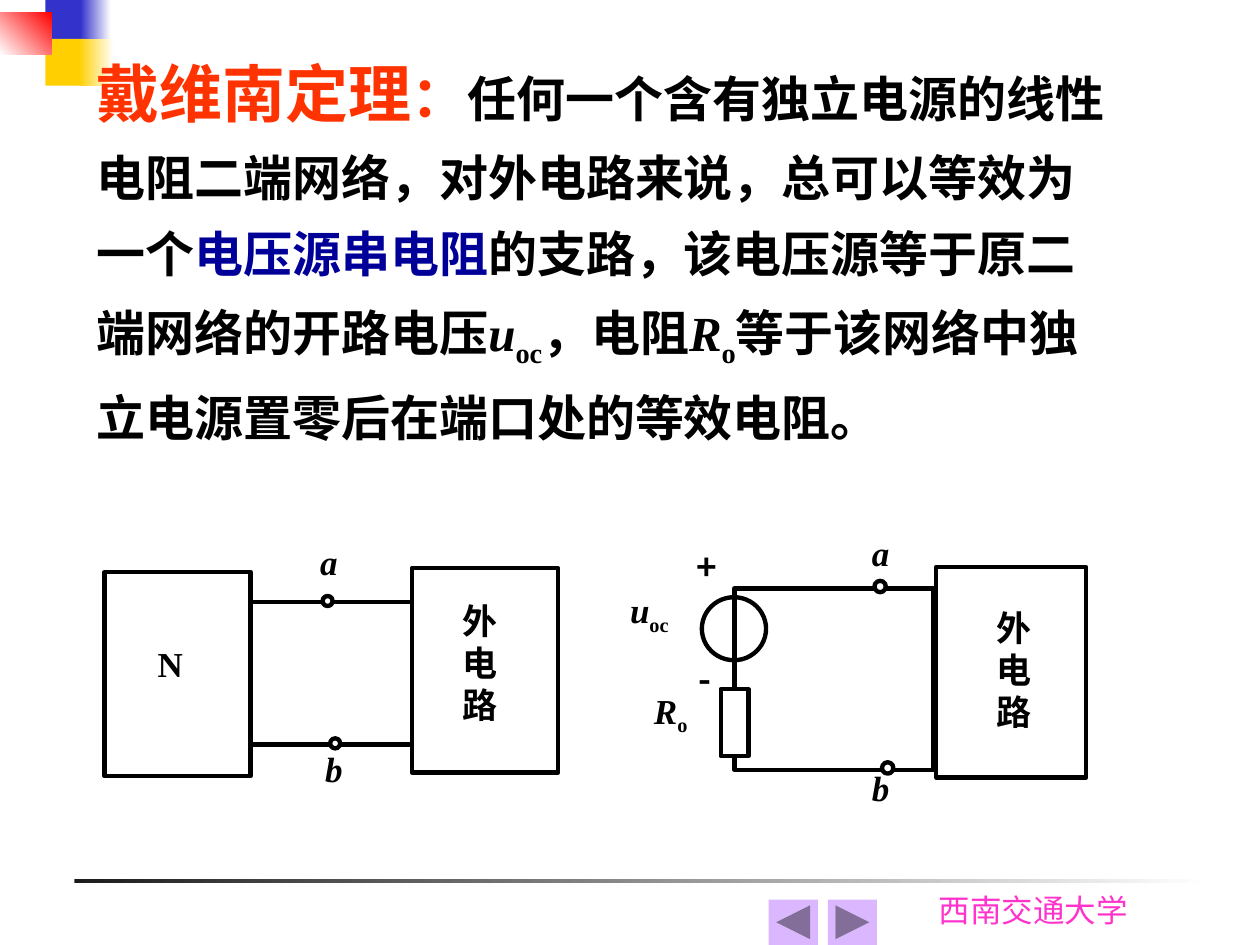
from lxml.etree import SubElement
from pptx import Presentation
from pptx.dml.color import RGBColor
from pptx.enum.shapes import MSO_CONNECTOR, MSO_SHAPE
from pptx.enum.text import MSO_ANCHOR, PP_ALIGN
from pptx.oxml.ns import qn
from pptx.util import Inches, Pt

COLORS = {
    "black": "000000", "white": "FFFFFF", "rule": "1C1C1C", "blue": "3333CC",
    "yellow": "FFCF01", "red": "FF0000", "heading": "FF3300",
    "key": "000099", "school": "FF33CC", "button": "DBB7FF",
}
SERIF, SANS = "Times New Roman", "Noto Sans CJK SC"
LABEL = {"size": Pt(20), "bold": True, "name": SERIF}
SYMBOL = {**LABEL, "italic": True}
SUB = {**LABEL, "sub": True}
SIGN = {**LABEL, "name": SANS}
BODY = {**LABEL, "size": Pt(28)}


class Deck:
    """Holds the drawing style and the slide being built."""

    def __init__(self, slide, line_width=2.5):
        self.s = slide
        self.line_width = Pt(line_width)

    def color(self, name):
        return RGBColor.from_string(COLORS[name])

    def shape(self, kind, box, fill=None, outline=True):
        sp = self.s.shapes.add_shape(kind, *map(Inches, box))
        sp.shadow.inherit = False
        if fill:
            sp.fill.solid()
            sp.fill.fore_color.rgb = self.color(fill)
        else:
            sp.fill.background()
        if outline:
            sp.line.color.rgb = self.color("black")
            sp.line.width = self.line_width
        else:
            sp.line.fill.background()
        return sp

    def block(self, box, fill=None):
        return self.shape(MSO_SHAPE.RECTANGLE, box, fill)

    def patch(self, box, start, end=None, angle=0):
        sp = self.shape(MSO_SHAPE.RECTANGLE, box, start, outline=False)
        if end:
            sp.fill.gradient()
            sp.fill.gradient_angle = angle
            for stop, name in zip(sp.fill.gradient_stops, (start, end)):
                stop.color.rgb = self.color(name)

    def terminal(self, x, y, d):
        self.shape(MSO_SHAPE.OVAL, (x, y, d, d), "white")

    def wire(self, x1, y1, x2, y2):
        cx = self.s.shapes.add_connector(
            MSO_CONNECTOR.STRAIGHT, *map(Inches, (x1, y1, x2, y2)))
        cx.line.color.rgb = self.color("black")
        cx.line.width = self.line_width
        SubElement(cx._element.spPr, qn("a:effectLst"))

    def text(self, box, paragraphs, align=PP_ALIGN.JUSTIFY, margins=(0, 0),
             anchor=MSO_ANCHOR.TOP, spacing=None):
        tf = self.s.shapes.add_textbox(*map(Inches, box)).text_frame
        mx, my = map(Inches, margins)
        frame = {"word_wrap": True, "vertical_anchor": anchor,
                 "margin_left": mx, "margin_right": mx,
                 "margin_top": my, "margin_bottom": my}
        for key, value in frame.items():
            setattr(tf, key, value)
        for i, runs in enumerate(paragraphs):
            p = tf.add_paragraph() if i else tf.paragraphs[0]
            p.alignment = align
            p.line_spacing = spacing
            for content, style, *color in runs:
                self.run(p, content, style, *color)

    def run(self, p, content, style, color="black"):
        r = p.add_run()
        r.text = content
        for key, value in style.items():
            if key != "sub":
                setattr(r.font, key, value)
        r.font.color.rgb = self.color(color)
        rpr = r._r.get_or_add_rPr()
        if style.get("sub"):
            rpr.set("baseline", "-25000")
        SubElement(rpr, qn("a:ea")).set("typeface", SANS)

    def label(self, box, *runs):
        self.text(box, [runs])

    def external_circuit(self, box, text_box):
        self.block(box)
        self.text(text_box, [[(c, LABEL)] for c in "外电路"])


def draw_frame(deck):
    deck.patch((0.59, 6.98, 9, 0.03), "rule", "white")
    deck.text((7.35, 7.02, 1.81, 0.4),
              [[("西南交通大学", {"size": Pt(18), "name": "Karla"}, "school")]],
              align=PP_ALIGN.LEFT, margins=(0.1, 0.05))
    deck.patch((0.36, 0, 0.32, 0.37), "blue")
    deck.patch((0.64, 0, 0.24, 0.37), "blue", "white")
    deck.patch((0.36, 0.31, 0.31, 0.37), "yellow")
    deck.patch((0.63, 0.31, 0.27, 0.37), "yellow", "white")
    deck.patch((0, 0.1, 0.41, 0.33), "white", "red", angle=45)


def draw_theorem(deck):
    italic, sub = {**BODY, "italic": True}, {**BODY, "sub": True}
    runs = [
        ("戴维南定理", {**BODY, "size": Pt(36)}, "heading"),
        ("：", {**BODY, "size": Pt(32)}, "heading"),
        ("任何一个含有独立电源的线性电阻二端网络，对外电路来说，总可以等效为一个", BODY),
        ("电压源串电阻", BODY, "key"),
        ("的支路，该电压源等于原二端网络的开路电压", BODY),
        ("u", italic), ("oc", sub), ("，电阻", BODY),
        ("R", italic), ("o", sub),
        ("等于该网络中独立电源置零后在端口处的等效电阻。", BODY),
    ]
    deck.text((0.67, 0.2, 8.35, 3.39), [runs], align=PP_ALIGN.LEFT,
              margins=(0.1, 0.05), anchor=MSO_ANCHOR.MIDDLE, spacing=1.3)


def draw_network(deck):
    deck.block((0.83, 4.54, 1.16, 1.62))
    deck.label((1.25, 5.1, 0.49, 0.54), ("N", LABEL))
    deck.external_circuit((3.27, 4.51, 1.16, 1.62), (3.67, 4.76, 0.49, 1.24))
    for y, x in ((4.78, 2.56), (5.91, 2.62)):
        deck.wire(2, y, 3.27, y)
        deck.terminal(x, y - 0.05, 0.08)
    deck.label((2.54, 4.29, 0.8, 0.58), ("a", SYMBOL))
    deck.label((2.58, 5.93, 0.41, 0.48), ("b", SYMBOL))


def draw_equivalent(deck):
    deck.block((5.83, 4.67, 1.58, 1.44))
    deck.external_circuit((7.43, 4.5, 1.19, 1.67), (7.91, 4.81, 0.5, 0.94))
    deck.terminal(6.94, 4.61, 0.09)
    deck.terminal(7, 6.05, 0.09)
    deck.block((5.72, 5.47, 0.22, 0.53), "white")
    deck.shape(MSO_SHAPE.OVAL, (5.57, 4.74, 0.51, 0.5))
    deck.label((6.92, 4.22, 0.82, 0.6), ("a", SYMBOL))
    deck.label((6.92, 6.08, 0.82, 0.6), ("b", SYMBOL))
    deck.label((5.53, 4.33, 0.36, 0.5), ("+", SIGN))
    deck.label((5.54, 5.22, 0.36, 0.5), ("-", SIGN))
    deck.label((5, 4.67, 0.72, 0.81), ("u", SYMBOL), ("oc", SUB))
    deck.label((5.19, 5.47, 0.82, 0.6), ("R", SYMBOL), ("o", SUB))


def draw_buttons(deck):
    kinds = (MSO_SHAPE.ACTION_BUTTON_BACK_OR_PREVIOUS,
             MSO_SHAPE.ACTION_BUTTON_FORWARD_OR_NEXT)
    for i, kind in enumerate(kinds):
        deck.shape(kind, (6.1 + 0.47 * i, 7.14, 0.39, 0.36), "button",
                   outline=False)


def main():
    prs = Presentation()
    prs.slide_width, prs.slide_height = Inches(10), Inches(7.5)
    deck = Deck(prs.slides.add_slide(prs.slide_layouts[6]))
    for draw in (draw_frame, draw_theorem, draw_network, draw_equivalent,
                 draw_buttons):
        draw(deck)
    prs.save("out.pptx")


if __name__ == "__main__":
    main()
